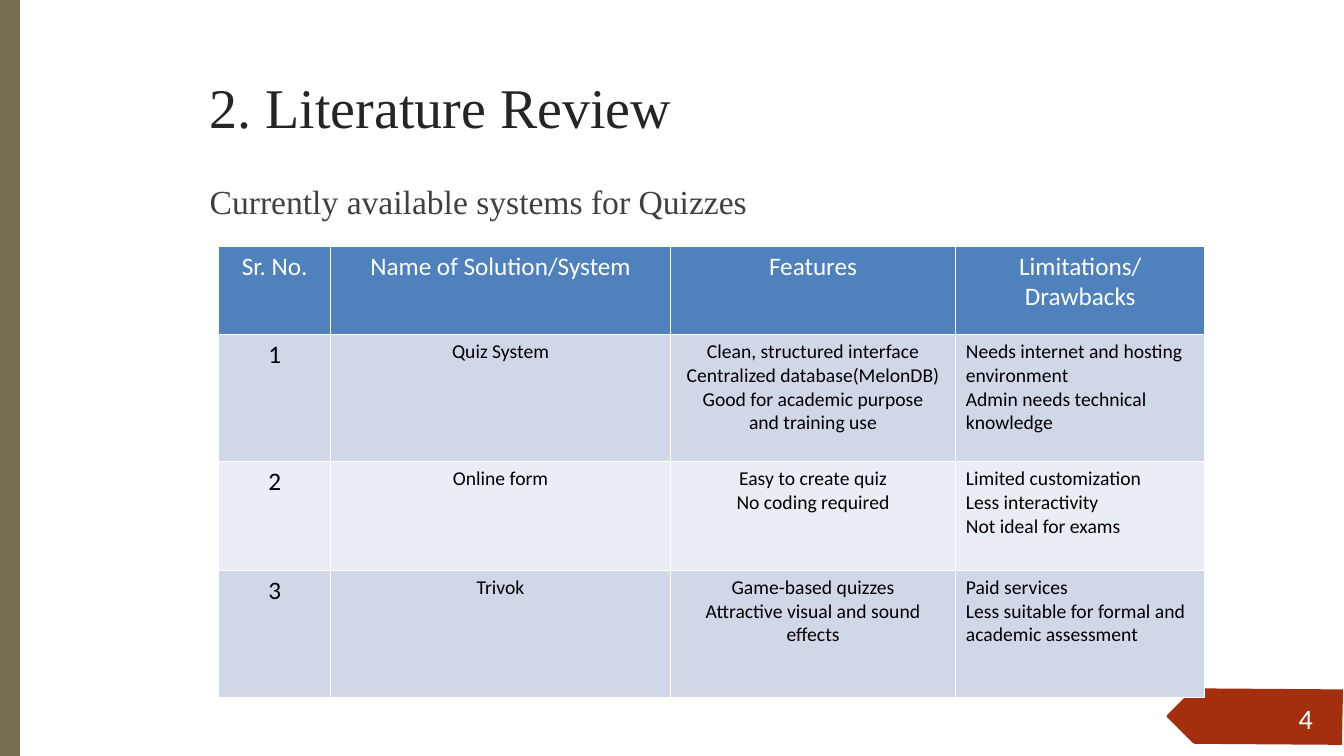
from lxml import etree
from pptx import Presentation
from pptx.dml.color import RGBColor
from pptx.enum.text import MSO_ANCHOR as Anchor, PP_ALIGN as Align
from pptx.oxml.ns import qn
from pptx.util import Inches, Pt

WHITE = "FFFFFF"
HEADER_FILL = "4F81BD"
BAND_FILLS = ["D0D8E8", "E9EDF4"]
COLUMN_WIDTHS = [1.11, 3.37, 2.83, 2.47]
ROW_HEIGHTS = [0.88, 1.26, 1.08, 1.26]
ROWS = [
    [["Sr. No."], ["Name of Solution/System"], ["Features"], ["Limitations/", "Drawbacks"]],
    [["1"], ["Quiz System"],
     ["Clean, structured interface", "Centralized database(MelonDB)",
      "Good for academic purpose", "and training use"],
     ["Needs internet and hosting environment", "Admin needs technical knowledge"]],
    [["2"], ["Online form"],
     ["Easy to create quiz", "No coding required"],
     ["Limited customization", "Less interactivity", "Not ideal for exams"]],
    [["3"], ["Trivok"],
     ["Game-based quizzes", "Attractive visual and sound effects"],
     ["Paid services", "Less suitable for formal and academic assessment"]],
]
SIDE_BAR = [(0.2, 0), (0, 0), (0, 7.5), (0.2, 7.5)]
NUMBER_ARROW = [
    (11.95, 6.83), (11.84, 6.83), (11.83, 6.84), (11.58, 7.09), (11.57, 7.11),
    (11.58, 7.12), (11.83, 7.37), (11.85, 7.38), (13.31, 7.39), (13.32, 6.84),
]


def color(value):
    return RGBColor.from_string(value)


def write_text(frame, lines, size=14, font="Calibri", fill="000000", align=Align.LEFT):
    frame.word_wrap = True
    for index, line in enumerate(lines):
        paragraph = frame.paragraphs[0] if index == 0 else frame.add_paragraph()
        paragraph.alignment = align
        run = paragraph.add_run()
        run.text = line
        run.font.size = Pt(size)
        run.font.name = font
        run.font.bold = False
        run.font.color.rgb = color(fill)


def set_frame(frame, margin=0, anchor=Anchor.TOP):
    frame.margin_left = frame.margin_right = Inches(margin)
    frame.margin_top = frame.margin_bottom = Inches(margin / 2)
    frame.vertical_anchor = anchor


def add_outline(slide, points, fill):
    corners = [(Inches(x), Inches(y)) for x, y in points]
    builder = slide.shapes.build_freeform(*corners[0], scale=1.0)
    builder.add_line_segments(corners[1:], close=True)
    shape = builder.convert_to_shape()
    shape.shadow.inherit = False
    shape.fill.solid()
    shape.fill.fore_color.rgb = color(fill)
    shape.line.fill.background()


def set_title(slide, text):
    title = slide.shapes.title
    title.left, title.top = Inches(2.08), Inches(0.72)
    title.width, title.height = Inches(5.29), Inches(0.95)
    set_frame(title.text_frame)
    write_text(title.text_frame, [text], size=40, font="Times New Roman", fill="252525")


def add_text(slide, text, left, top, width, height, margin=0, anchor=Anchor.TOP, **style):
    box = slide.shapes.add_textbox(Inches(left), Inches(top), Inches(width), Inches(height))
    set_frame(box.text_frame, margin, anchor)
    write_text(box.text_frame, [text], **style)


def set_borders(cell, value, width):
    properties = cell._tc.get_or_add_tcPr()
    for side in ("a:lnL", "a:lnR", "a:lnT", "a:lnB"):
        line = etree.SubElement(properties, qn(side), w=str(Pt(width)))
        solid = etree.SubElement(line, qn("a:solidFill"))
        etree.SubElement(solid, qn("a:srgbClr"), val=value)


def fill_cell(cell, lines, row, column):
    set_borders(cell, WHITE, 1)
    cell.fill.solid()
    header = row == 0
    cell.fill.fore_color.rgb = color(HEADER_FILL if header else BAND_FILLS[(row - 1) % 2])
    write_text(
        cell.text_frame, lines,
        size=18 if header or column == 0 else 14,
        fill=WHITE if header else "000000",
        align=Align.LEFT if column == 3 and not header else Align.CENTER,
    )


def add_review_table(slide):
    table = slide.shapes.add_table(
        len(ROWS), len(COLUMN_WIDTHS), Inches(2.17), Inches(2.44),
        Inches(sum(COLUMN_WIDTHS)), Inches(sum(ROW_HEIGHTS)),
    ).table
    table.first_row = True
    table.horz_banding = False
    for column, width in zip(table.columns, COLUMN_WIDTHS):
        column.width = Inches(width)
    for row, height in zip(table.rows, ROW_HEIGHTS):
        row.height = Inches(height)
    for row, texts in enumerate(ROWS):
        for column, lines in enumerate(texts):
            fill_cell(table.cell(row, column), lines, row, column)


def main():
    presentation = Presentation()
    presentation.slide_width = Inches(13.33)
    presentation.slide_height = Inches(7.5)
    slide = presentation.slides.add_slide(presentation.slide_layouts[5])
    add_outline(slide, SIDE_BAR, "766E53")
    add_outline(slide, NUMBER_ARROW, "A42F0F")
    set_title(slide, "2. Literature Review")
    add_text(slide, "Currently available systems for Quizzes", 2.08, 1.79, 10.5, 0.4,
             size=24, font="Times New Roman", fill="404040")
    add_text(slide, "4", 12.27, 6.93, 0.85, 0.4, margin=0.1, anchor=Anchor.MIDDLE,
             size=20, fill=WHITE, align=Align.RIGHT)
    add_review_table(slide)
    presentation.save("out.pptx")


if __name__ == "__main__":
    main()
